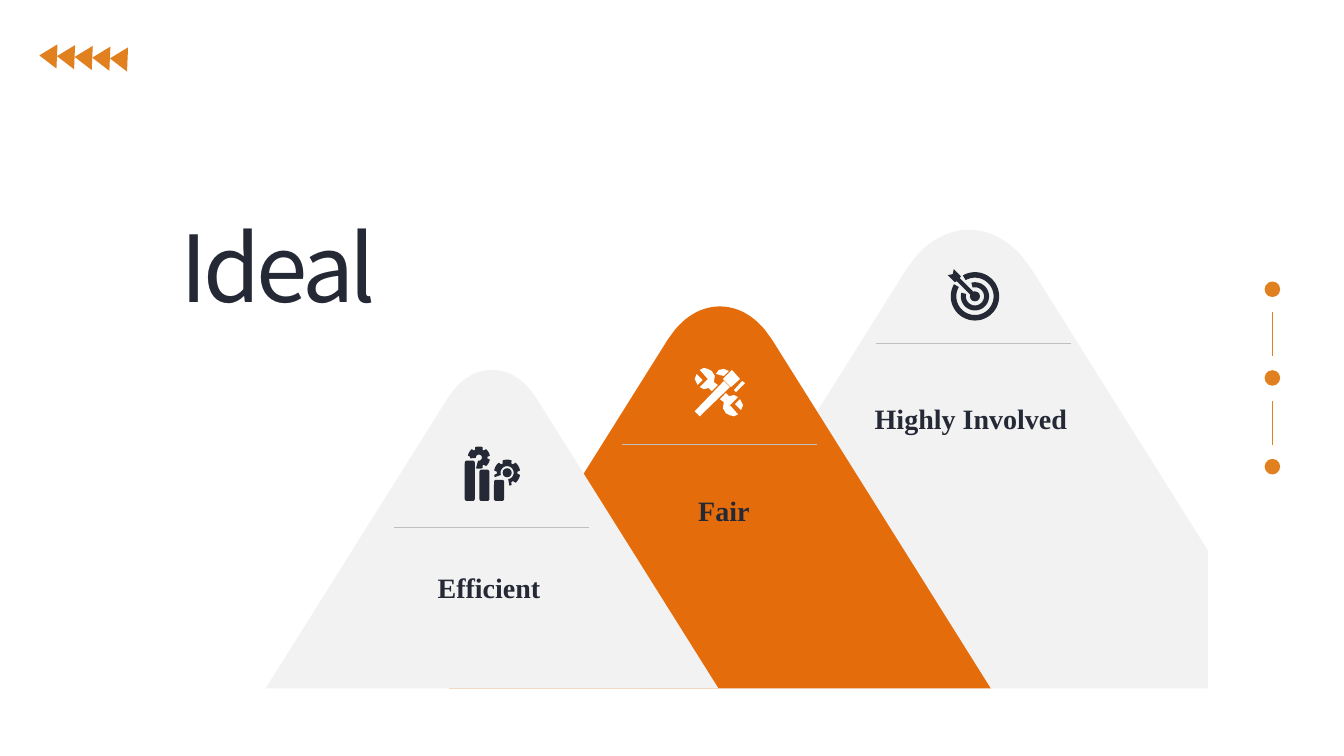
from math import cos, radians, sin

from lxml.etree import SubElement
from pptx import Presentation
from pptx.dml.color import RGBColor
from pptx.enum.shapes import MSO_CONNECTOR, MSO_SHAPE
from pptx.enum.text import MSO_ANCHOR, MSO_AUTO_SIZE, PP_ALIGN
from pptx.oxml.ns import qn
from pptx.util import Inches, Pt

WIDTH, HEIGHT = 13.33, 7.5
INK, PALE, ORANGE, AMBER, GREY, WHITE = "252935", "F2F2F2", "E46C0A", "E1801F", "BFBFBF", "FFFFFF"

TITLE = {"text": "Ideal", "box": (1.54, 2.11, 3.93, 1.05),
         "font": {"name": "Noto Sans CJK SC", "size": Pt(66)}}
LABEL_FONT = {"name": "Times New Roman", "size": Pt(20), "bold": True}
LABEL_WIDTH, LABEL_HEIGHT, RULE_WIDTH = 2.52, 0.44, 1.93

# Back to front: peak, half width of the rounded cap, rule and label positions
MOUNTAINS = [
    {"label": "Highly Involved", "peak": (9.61, 2.28), "cap": 0.64, "fill": PALE,
     "rule": (8.69, 3.41), "label_at": (8.37, 3.82)},
    {"label": "Fair", "peak": (7.14, 3.04), "cap": 0.53, "fill": ORANGE,
     "rule": (6.17, 4.41), "label_at": (5.92, 4.73)},
    {"label": "Efficient", "peak": (4.88, 3.67), "cap": 0.45, "fill": PALE,
     "rule": (3.91, 5.23), "label_at": (3.59, 5.49)},
]
BASELINE, RIGHT_EDGE, SLOPE, CAP_DROP = 6.83, 11.98, 1.595, 0.66
# Cap outline from peak to flank, as shares of the cap's half width and drop
CAP_CURVE = [(0, 0), (0.33, 0), (0.62, 0.26), (0.84, 0.66)]
CAP_SHOULDER = [(0.97, 0.93), (1, 1)]

BARS = {"left": 4.61, "step": 0.145, "width": 0.1, "bottom": 4.97, "tops": (4.57, 4.66, 4.76)}
# Gears and rings: centre, outer radius, inner radius, start and end angle
GEARS = [((5.03, 4.69), 0.13, 0.065, 160, 440), ((4.75, 4.54), 0.11, 0.03, 175, 465)]
GEAR_HUB = ((5.03, 4.69), 0.045)
TARGET_CENTRE = (9.67, 2.94)
TARGET_RINGS = [(0.24, 0.185, 240, 570), (0.14, 0.09, 255, 555)]
TARGET_DOT = 0.05
DART = [(9.46, 2.67), (9.45, 2.72), (9.4, 2.73), (9.47, 2.8), (9.49, 2.79),
        (9.64, 2.94), (9.67, 2.91), (9.52, 2.76), (9.53, 2.74)]
HAMMER = [
    [(7.18, 3.78), (6.89, 4.08), (6.94, 4.13), (7.24, 3.84)],
    [(7.26, 3.67), (7.17, 3.76), (7.25, 3.84), (7.34, 3.76)],
    [(7.36, 3.78), (7.28, 3.87), (7.3, 3.89), (7.39, 3.8)],
    [(7.23, 3.68), (7.18, 3.73), (7.1, 3.71), (7.13, 3.67), (7.18, 3.66)],
]
WRENCH_END = [
    [(6.98, 3.65), (6.94, 3.67), (7.02, 3.76), (6.94, 3.84), (6.98, 3.86), (7.03, 3.85),
     (7.06, 3.88), (7.12, 3.82), (7.08, 3.79), (7.09, 3.73), (7.06, 3.68), (7.02, 3.66)],
    [(6.91, 3.71), (6.89, 3.76), (6.92, 3.82), (6.97, 3.77)],
]
TOOLS_CENTRE = (7.13, 3.89)

ARROWS = {"count": 5, "step": (0.175, 0.0075), "outline": [(0.39, 0.55), (0.56, 0.68), (0.57, 0.44)]}
DOTS = {"count": 3, "x": 12.62, "top": 2.87, "step": 0.88, "radius": 0.07, "link": (0.23, 0.66)}


def color(hex_text):
    return RGBColor.from_string(hex_text)


def paint(shape, fill, line=None):
    shape.shadow.inherit = False
    if fill:
        shape.fill.solid()
        shape.fill.fore_color.rgb = color(fill)
    else:
        shape.fill.background()
    if line:
        shape.line.color.rgb = color(line)
        shape.line.width = Pt(1)
    else:
        shape.line.fill.background()


def inches(values):
    return [Inches(value) for value in values]


def add_outline(shapes, contours, fill):
    """Draw closed contours as one shape; inner contours become holes."""
    builder = None
    for contour in contours:
        points = [tuple(inches(point)) for point in contour]
        if builder is None:
            builder = shapes.build_freeform(*points[0], scale=1.0)
        else:
            builder.move_to(*points[0])
        builder.add_line_segments(points[1:], close=True)
    paint(builder.convert_to_shape(), fill)


def add_line(shapes, start, end, line_color):
    line = shapes.add_connector(MSO_CONNECTOR.STRAIGHT, *inches(start + end))
    line.line.color.rgb = color(line_color)
    line.line.width = Pt(0.5)
    SubElement(line._element.spPr, qn("a:effectLst"))


def add_disc(shapes, centre, radius, fill, line=None):
    box = (centre[0] - radius, centre[1] - radius, 2 * radius, 2 * radius)
    paint(shapes.add_shape(MSO_SHAPE.OVAL, *inches(box)), fill, line)


def write(paragraph, text, font):
    run = paragraph.add_run()
    run.text = text
    for name, value in font.items():
        setattr(run.font, name, value)
    run.font.color.rgb = color(INK)
    return run


def bezier(points, share):
    weights = [(1 - share) ** 3, 3 * share * (1 - share) ** 2, 3 * share ** 2 * (1 - share), share ** 3]
    return tuple(sum(weight * point[axis] for weight, point in zip(weights, points)) for axis in (0, 1))


def mountain_outline(peak, cap):
    profile = [bezier(CAP_CURVE, step / 16) for step in range(17)] + CAP_SHOULDER
    half = [(x * cap, y * cap * CAP_DROP) for x, y in profile]
    depth = BASELINE - peak[1]
    reach = cap + (depth - cap * CAP_DROP) / SLOPE
    overrun = max(0, peak[0] + reach - RIGHT_EDGE)
    right = half + [(reach - overrun, depth - overrun * SLOPE), (reach - overrun, depth)]
    left = [(-x, y) for x, y in half + [(reach, depth)]]
    return [(peak[0] + x, peak[1] + y) for x, y in right + left[::-1]]


def ring_outline(centre, outer, inner, start, end, teeth=0):
    """Open ring between two angles, with teeth on its outer edge if asked."""
    def point(angle, radius):
        return centre[0] + radius * cos(radians(angle)), centre[1] + radius * sin(radians(angle))

    def outer_radius(angle):
        in_valley = teeth and abs((angle - 90) % (360 / teeth) - 180 / teeth) < 60 / teeth
        return outer * (0.78 if in_valley else 1)

    angles = range(start, end + 1, 5)
    return [point(a, outer_radius(a)) for a in angles] + [point(a, inner) for a in reversed(angles)]


def add_chart_icon(shapes):
    for gear in GEARS:
        add_outline(shapes, [ring_outline(*gear, teeth=6)], INK)
    add_disc(shapes, *GEAR_HUB, INK)
    for index, top in enumerate(BARS["tops"]):
        box = (BARS["left"] + index * BARS["step"], top, BARS["width"], BARS["bottom"] - top)
        bar = shapes.add_shape(MSO_SHAPE.ROUNDED_RECTANGLE, *inches(box))
        bar.adjustments[0] = 0.2
        paint(bar, INK)


def add_target_icon(shapes):
    rings = [ring_outline(TARGET_CENTRE, *ring) for ring in TARGET_RINGS]
    add_outline(shapes, rings, INK)
    add_disc(shapes, TARGET_CENTRE, TARGET_DOT, INK)
    add_outline(shapes, [DART], INK)


def add_tools_icon(shapes):
    centre_x, centre_y = TOOLS_CENTRE
    opposite_end = [[(2 * centre_x - x, 2 * centre_y - y) for x, y in part] for part in WRENCH_END]
    add_outline(shapes, HAMMER + WRENCH_END + opposite_end, WHITE)


def add_title(shapes):
    shape = shapes.add_shape(MSO_SHAPE.ROUNDED_RECTANGLE, *inches(TITLE["box"]))
    shape.adjustments[0] = 0.5
    paint(shape, None)
    shape.text_frame.vertical_anchor = MSO_ANCHOR.MIDDLE
    paragraph = shape.text_frame.paragraphs[0]
    paragraph.alignment = PP_ALIGN.LEFT
    run = write(paragraph, TITLE["text"], TITLE["font"])
    run.font._element.set("spc", "-300")


def add_label(shapes, text, position):
    frame = shapes.add_textbox(*inches(position + (LABEL_WIDTH, LABEL_HEIGHT))).text_frame
    settings = {"word_wrap": True, "auto_size": MSO_AUTO_SIZE.SHAPE_TO_FIT_TEXT,
                "margin_left": 0, "margin_right": 0, "margin_top": 0, "margin_bottom": 0}
    for name, value in settings.items():
        setattr(frame, name, value)
    paragraph = frame.paragraphs[0]
    paragraph.alignment = PP_ALIGN.CENTER
    paragraph.line_spacing = 1.5
    write(paragraph, text, LABEL_FONT)


def main():
    presentation = Presentation()
    presentation.slide_width, presentation.slide_height = inches((WIDTH, HEIGHT))
    shapes = presentation.slides.add_slide(presentation.slide_layouts[6]).shapes

    for mountain in MOUNTAINS:
        add_outline(shapes, [mountain_outline(mountain["peak"], mountain["cap"])], mountain["fill"])
    for add_icon in (add_chart_icon, add_target_icon, add_tools_icon):
        add_icon(shapes)
    for mountain in MOUNTAINS:
        x, y = mountain["rule"]
        add_line(shapes, (x, y), (x + RULE_WIDTH, y), GREY)
        add_label(shapes, mountain["label"], mountain["label_at"])
    add_title(shapes)

    for index in range(DOTS["count"]):
        x, y = DOTS["x"], DOTS["top"] + index * DOTS["step"]
        add_disc(shapes, (x, y), DOTS["radius"], AMBER, AMBER)
        if index < DOTS["count"] - 1:
            start, end = DOTS["link"]
            add_line(shapes, (x, y + start), (x, y + end), AMBER)
    for index in range(ARROWS["count"]):
        dx, dy = (index * step for step in ARROWS["step"])
        add_outline(shapes, [[(x + dx, y + dy) for x, y in ARROWS["outline"]]], AMBER)

    presentation.save("out.pptx")


if __name__ == "__main__":
    main()
